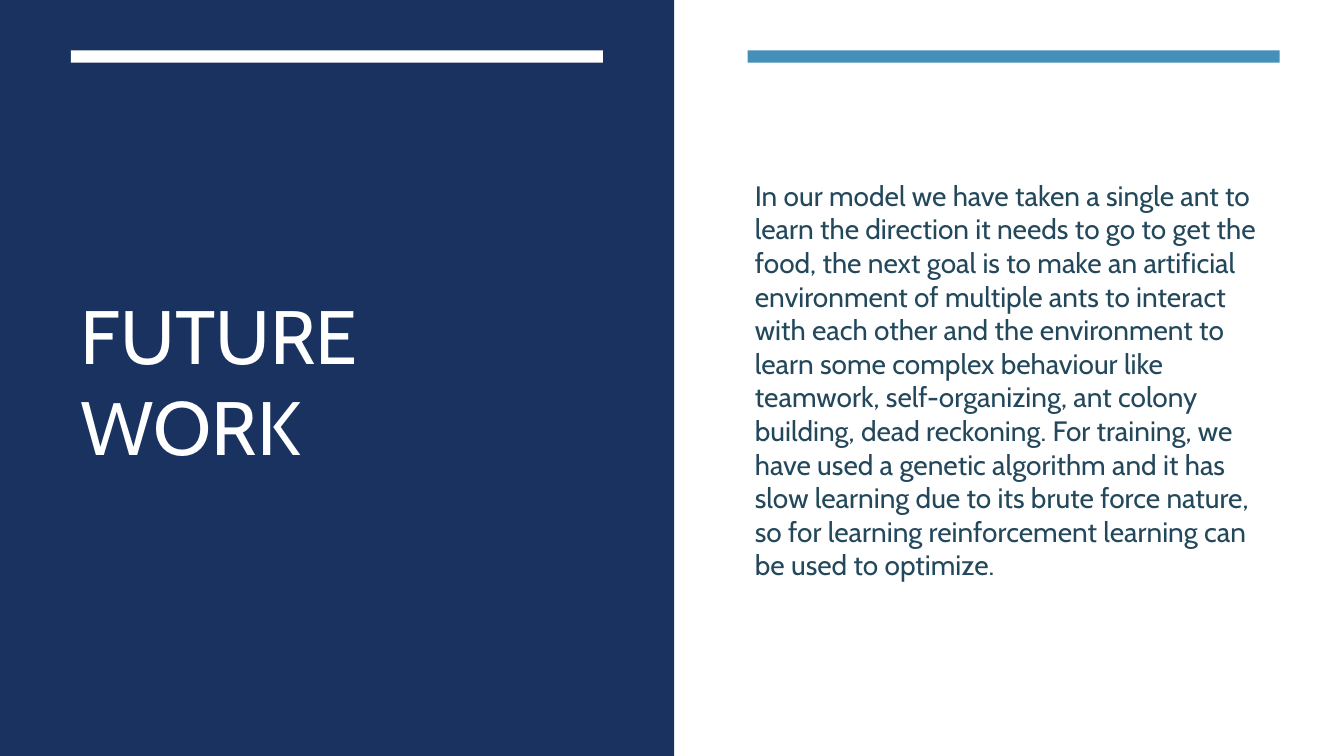
from dataclasses import dataclass

from lxml.etree import SubElement
from pptx import Presentation
from pptx.dml.color import RGBColor
from pptx.enum.shapes import MSO_SHAPE
from pptx.enum.text import MSO_ANCHOR, MSO_AUTO_SIZE, PP_ALIGN
from pptx.oxml.ns import qn
from pptx.util import Pt


@dataclass(frozen=True)
class Theme:
    font: str = "Cabin"
    white: RGBColor = RGBColor(0xFF, 0xFF, 0xFF)
    navy: RGBColor = RGBColor(0x1A, 0x32, 0x60)
    blue: RGBColor = RGBColor(0x45, 0x90, 0xB8)
    ink: RGBColor = RGBColor(0x23, 0x48, 0x5C)
    title_size: int = 54
    body_size: int = 20


@dataclass(frozen=True)
class Box:
    left: float
    top: float
    width: float
    height: float


THEME = Theme()
PAGE = Box(0, 0, 960, 540)
TITLE_PANEL = Box(0, 0, 481.5, 540)
TITLE_COLUMN = Box(50.6, 36, 380, 425.5)
BODY_COLUMN = Box(534, 36, 380, 425.5)
BAR_HEIGHT = 8.75
TEXT_OFFSET = 45.3
BODY_OUTDENT = 2
BODY_TEXT = (
    "In our model we have taken a single ant to learn the direction it needs to go "
    "to get the food, the next goal is to make an artificial environment of multiple "
    "ants to interact with each other and the environment to learn some complex "
    "behaviour like teamwork, self-organizing, ant colony building, dead reckoning. "
    "For training, we have used a genetic algorithm and it has slow learning due to "
    "its brute force nature, so for learning reinforcement learning can be used to "
    "optimize."
)


def add_rectangle(page, box, color):
    rectangle = page.shapes.add_shape(
        MSO_SHAPE.RECTANGLE, Pt(box.left), Pt(box.top), Pt(box.width), Pt(box.height)
    )
    rectangle.shadow.inherit = False
    rectangle.fill.solid()
    rectangle.fill.fore_color.rgb = color
    rectangle.line.fill.background()


def fill_placeholder(placeholder, box, text, size, color):
    placeholder.left, placeholder.top = Pt(box.left), Pt(box.top)
    placeholder.width, placeholder.height = Pt(box.width), Pt(box.height)
    placeholder.element.getparent().append(placeholder.element)
    frame = placeholder.text_frame
    frame.word_wrap = True
    frame.auto_size = MSO_AUTO_SIZE.NONE
    frame.vertical_anchor = MSO_ANCHOR.MIDDLE
    para = frame.paragraphs[0]
    para.alignment = PP_ALIGN.LEFT
    span = para.add_run()
    span.text = text
    span.font.name = THEME.font
    span.font.size = Pt(size)
    span.font.color.rgb = color
    return para


def text_box(column, outdent=0):
    return Box(
        column.left - outdent, column.top + TEXT_OFFSET, column.width + outdent, 380
    )


def add_bar(page, column, color):
    add_rectangle(page, Box(column.left, column.top, column.width, BAR_HEIGHT), color)


def build_title_region(page, panel, column):
    add_rectangle(page, panel, THEME.navy)
    fill_placeholder(
        page.shapes.title, text_box(column), "FUTURE WORK", THEME.title_size, THEME.white
    )
    add_bar(page, column, THEME.white)


def build_body_region(page, column):
    add_bar(page, column, THEME.blue)
    para = fill_placeholder(
        page.placeholders[1],
        text_box(column, BODY_OUTDENT),
        BODY_TEXT,
        THEME.body_size,
        THEME.ink,
    )
    para.space_after = Pt(6)
    properties = para._p.get_or_add_pPr()
    properties.set("marL", "0")
    properties.set("indent", "0")
    SubElement(properties, qn("a:buNone"))


def main():
    deck = Presentation()
    deck.slide_width, deck.slide_height = Pt(PAGE.width), Pt(PAGE.height)
    page = deck.slides.add_slide(deck.slide_layouts[1])
    add_rectangle(page, PAGE, THEME.white)
    build_title_region(page, TITLE_PANEL, TITLE_COLUMN)
    build_body_region(page, BODY_COLUMN)
    deck.save("out.pptx")


if __name__ == "__main__":
    main()
